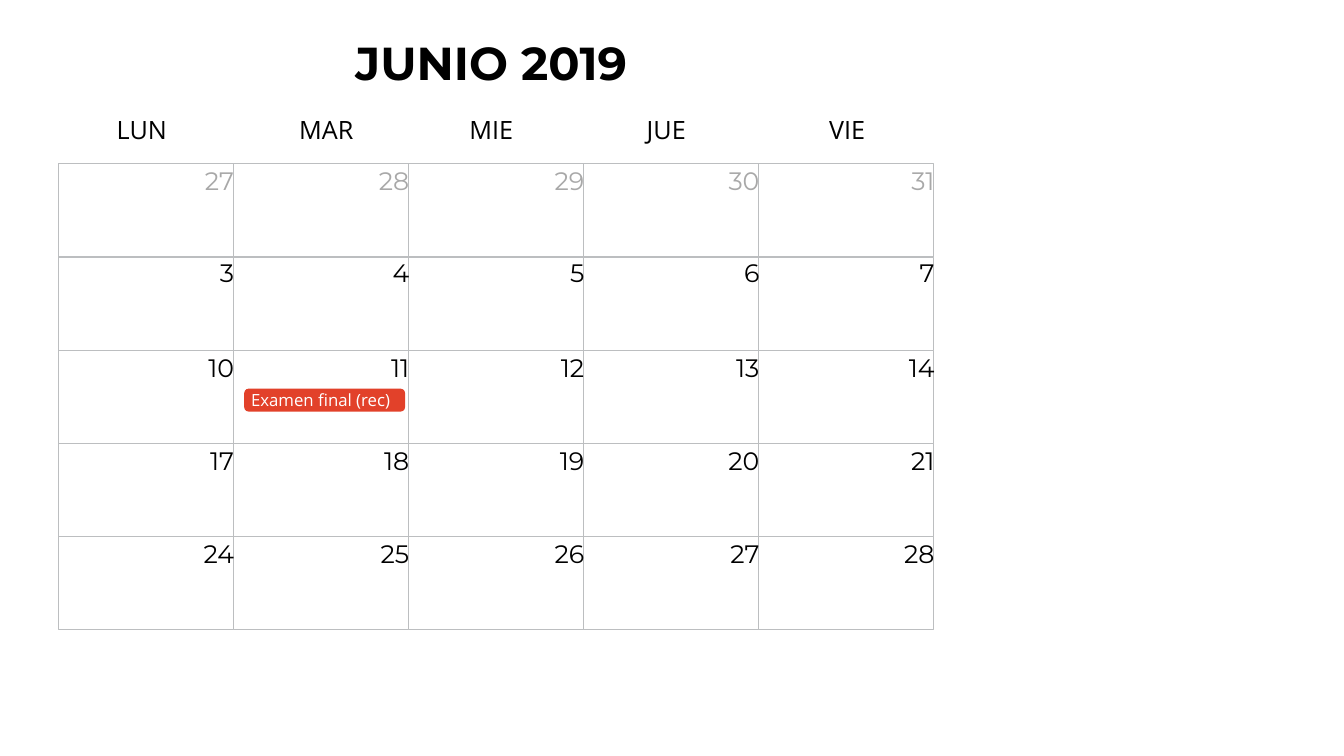
from pptx import Presentation
from pptx.dml.color import RGBColor
from pptx.enum.shapes import MSO_SHAPE as Shape
from pptx.enum.text import MSO_ANCHOR as Anchor, PP_ALIGN as Align
from pptx.util import Pt

LEFT, TOP = 41.6, 117
CELL_W, CELL_H = 125.15, 66.6
DATE_W = 40

# Left edge of each weekday name
DAYS = {"LUN": 83.4, "MAR": 213.8, "MIE": 335.5, "JUE": 462.2, "VIE": 592.6}
# First date of each week, and the gap above its dates
WEEKS = [(27, 1.2), (3, 0.2), (10, 1.2), (17, 1.2), (24, 1.2)]


def color(code):
    return RGBColor.from_string(code)


class Board:
    head_font, body_font = "Montserrat", "Open Sans"
    ink, faint, paper = "000000", "A8A8A8", "FFFFFF"
    rule, alert = "BCBEC0", "E2412A"

    def __init__(self, slide):
        self.shapes = slide.shapes

    def add_text(self, frame, text, size, font, ink, bold=False, align=Align.LEFT):
        frame.word_wrap = True
        frame.margin_left = frame.margin_right = 0
        frame.margin_top = frame.margin_bottom = 0
        para = frame.paragraphs[0]
        para.alignment = align
        run = para.add_run()
        run.text = text
        run.font.size = Pt(size)
        run.font.name = font
        run.font.bold = bold
        run.font.color.rgb = color(ink)

    def label(self, x, y, w, h, text, size, font, ink, **style):
        box = self.shapes.add_textbox(Pt(x), Pt(y), Pt(w), Pt(h))
        self.add_text(box.text_frame, text, size, font, ink, **style)

    def block(self, kind, x, y, w, h, fill):
        item = self.shapes.add_shape(kind, Pt(x), Pt(y), Pt(w), Pt(h))
        item.shadow.inherit = False
        item.fill.solid()
        item.fill.fore_color.rgb = color(fill)
        return item

    def cell(self, x, y):
        item = self.block(Shape.RECTANGLE, x, y, CELL_W, CELL_H, self.paper)
        item.line.color.rgb = color(self.rule)
        item.line.width = Pt(0.75)

    def date(self, x, y, day, ink):
        """Set a date flush with the right edge x of its cell."""
        self.label(x - DATE_W, y, DATE_W, 22, str(day), 18,
                   self.head_font, ink, align=Align.RIGHT)

    def event(self, x, y, w, h, text):
        item = self.block(Shape.ROUNDED_RECTANGLE, x, y, w, h, self.alert)
        item.adjustments[0] = 0.2
        item.line.fill.background()
        frame = item.text_frame
        self.add_text(frame, text, 12, self.body_font, self.paper)
        frame.margin_left = Pt(4)
        frame.vertical_anchor = Anchor.MIDDLE


def main():
    deck = Presentation()
    deck.slide_width, deck.slide_height = Pt(960.5), Pt(540)
    board = Board(deck.slides.add_slide(deck.slide_layouts[6]))

    board.label(254, 24.4, 210, 40, "JUNIO 2019", 33,
                board.head_font, board.ink, bold=True)
    for name, x in DAYS.items():
        board.label(x, 82, 60, 24.5, name, 18, board.body_font, board.ink)

    for row, (first, gap) in enumerate(WEEKS):
        y = TOP + row * CELL_H
        ink = board.faint if row == 0 else board.ink
        for col in range(len(DAYS)):
            board.cell(LEFT + col * CELL_W, y)
        for col in range(len(DAYS)):
            board.date(LEFT + (col + 1) * CELL_W + 0.5, y + gap, first + col, ink)

    board.event(174.5, 277.6, 115, 16.4, "Examen final (rec)")
    deck.save("out.pptx")


if __name__ == "__main__":
    main()
